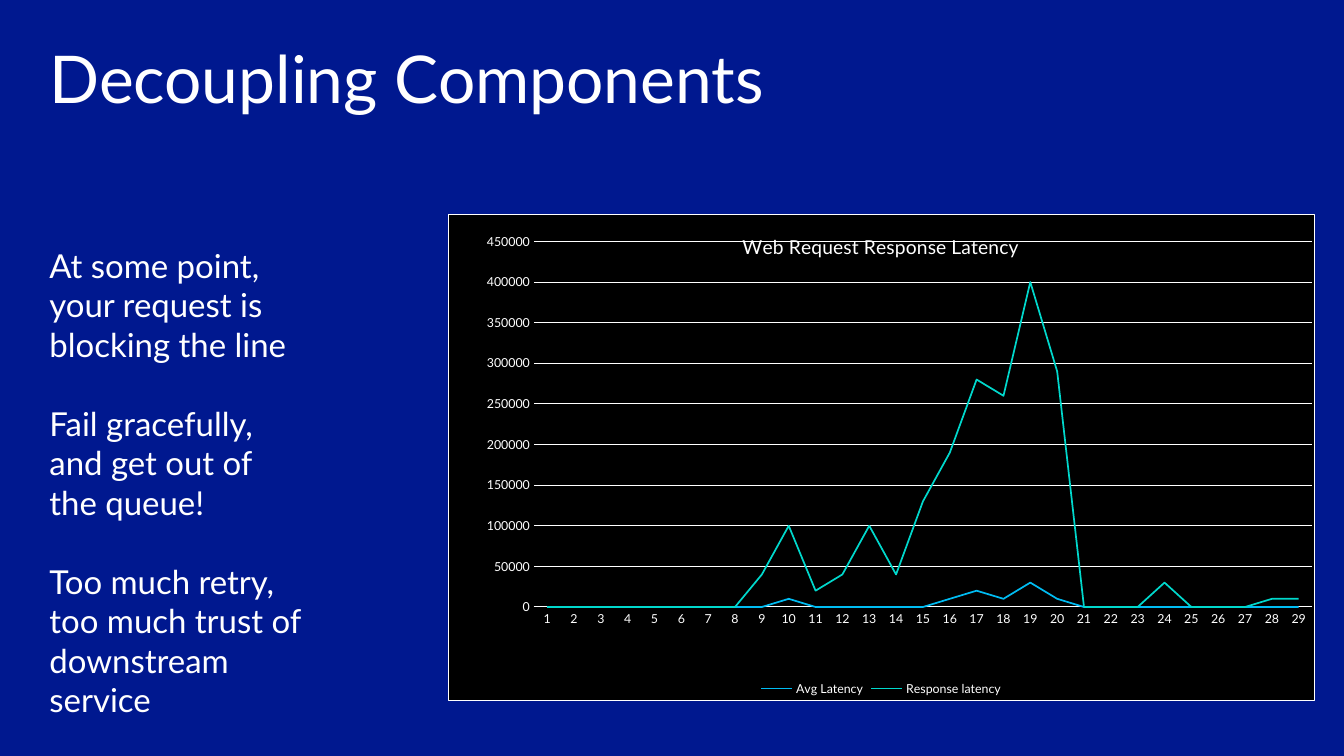
from lxml import etree
from pptx import Presentation
from pptx import util as u
from pptx.chart.data import CategoryChartData
from pptx.dml.color import RGBColor
from pptx.enum import chart as ch, text
from pptx.oxml import parse_xml
from pptx.oxml.ns import nsdecls, qn

PX = u.Inches(1) // 100
FONT = "Lato"
COLORS = {"background": "00188F", "text": "FFFFFF", "panel": "000000",
          "Avg Latency": "00BCF2", "Response latency": "00D8CC"}
LATENCY_STEP = 10000
LATENCY = {  # in steps of LATENCY_STEP
    "Avg Latency": [0] * 9 + [1] + [0] * 5 + [1, 2, 1, 3, 1] + [0] * 9,
    "Response latency": [0] * 8 + [4, 10, 2, 4, 10, 4, 13, 19, 28, 26, 40, 29,
                                   0, 0, 0, 3, 0, 0, 0, 1, 1],
}
ADVICE = ["At some point, your request is blocking the line",
          "Fail gracefully, and get out of the queue!",
          "Too much retry, too much trust of downstream service"]


def rgb(name):
    return RGBColor.from_string(COLORS[name])


def set_font(font, size):
    font.name, font.size, font.color.rgb = FONT, u.Pt(size), rgb("text")


def set_line(line, color, width):
    line.color.rgb, line.width = rgb(color), u.Pt(width)


def fill_placeholder(sp, box, paragraphs, size, inset_y, gap=0):
    sp.left, sp.top, sp.width, sp.height = (v * PX for v in box)
    tf = sp.text_frame
    tf.word_wrap, tf.auto_size = True, text.MSO_AUTO_SIZE.NONE
    tf.vertical_anchor = text.MSO_ANCHOR.TOP
    tf.margin_left = tf.margin_right = 20 * PX
    tf.margin_top = tf.margin_bottom = inset_y * PX
    tf.text = "\n".join(paragraphs)
    for i, p in enumerate(tf.paragraphs):
        p.alignment = text.PP_ALIGN.LEFT
        p.space_before, p.space_after = u.Pt(gap if i else 0), u.Pt(0)
        set_font(p.font, size)
        pPr = p._p.get_or_add_pPr()
        pPr.set("marL", "0")
        pPr.set("indent", "0")
        pPr.find(qn("a:defRPr")).addprevious(etree.Element(qn("a:buNone")))


def set_layout(parent, index, **values):
    """Give a chart part a manual layout, in fractions of the chart."""
    for old in parent.findall(qn("c:layout")):
        parent.remove(old)
    parts = "".join(f'<c:{k} val="{v}"/>' for k, v in values.items())
    parent.insert(index, parse_xml(
        f'<c:layout {nsdecls("c")}><c:manualLayout>{parts}</c:manualLayout></c:layout>'))


def style_axes(chart):
    for axis in (chart.category_axis, chart.value_axis):
        axis.major_tick_mark = axis.minor_tick_mark = ch.XL_TICK_MARK.NONE
        set_font(axis.tick_labels.font, 9)
    set_line(chart.category_axis.format.line, "text", 0.75)
    values = chart.value_axis
    values.minimum_scale, values.maximum_scale, values.major_unit = 0, 450000, 50000
    values.format.line.fill.background()
    set_line(values.major_gridlines.format.line, "text", 0.75)


def add_title(chart):
    chart.has_title = True
    p = chart.chart_title.text_frame.paragraphs[0]
    p.text = "Web Request Response Latency"
    set_font(p.font, 14)
    p.font.bold = False
    title = chart.chart_title._element
    set_layout(title, 1, xMode="edge", yMode="edge", x=0.336, y=0.03)
    title.find(qn("c:overlay")).set("val", "1")


def add_latency_chart(s, box):
    data = CategoryChartData()
    data.categories = [str(n) for n in range(1, 30)]
    for name, steps in LATENCY.items():
        data.add_series(name, [n * LATENCY_STEP for n in steps])
    chart = s.shapes.add_chart(ch.XL_CHART_TYPE.LINE, *(v * PX for v in box), data).chart
    set_font(chart.font, 10)
    add_title(chart)
    style_axes(chart)
    chart.plots[0].vary_by_categories = False
    for series in chart.plots[0].series:
        series.smooth = False
        set_line(series.format.line, series.name, 1.25)
    chart.has_legend = True
    chart.legend.position = ch.XL_LEGEND_POSITION.BOTTOM
    chart.legend.include_in_layout = False
    set_font(chart.legend.font, 9)
    space = chart._chartSpace
    set_layout(space.chart.plotArea, 0, layoutTarget="inner", xMode="edge", yMode="edge",
               x=0.099, y=0.055, w=0.899, h=0.753)
    space.find(qn("c:txPr")).addprevious(parse_xml(
        f'<c:spPr {nsdecls("c", "a")}>'
        f'<a:solidFill><a:srgbClr val="{COLORS["panel"]}"/></a:solidFill>'
        f'<a:ln w="{u.Pt(0.5)}"><a:solidFill><a:srgbClr val="{COLORS["text"]}"/>'
        '</a:solidFill></a:ln></c:spPr>'))


def add_decoupling_slide(prs):
    s = prs.slides.add_slide(prs.slide_layouts[1])
    s.background.fill.solid()
    s.background.fill.fore_color.rgb = rgb("background")
    fill_placeholder(s.shapes.title, (30, 33, 1300, 100), ["Decoupling Components"], 48, 5)
    fill_placeholder(s.placeholders[1], (30, 232, 300, 500), ADVICE, 24, 16, gap=28.8)
    add_latency_chart(s, (453, 217, 877, 492))


def main():
    prs = Presentation()
    prs.slide_width, prs.slide_height = 1360 * PX, 765 * PX
    add_decoupling_slide(prs)
    prs.save("out.pptx")


if __name__ == "__main__":
    main()
